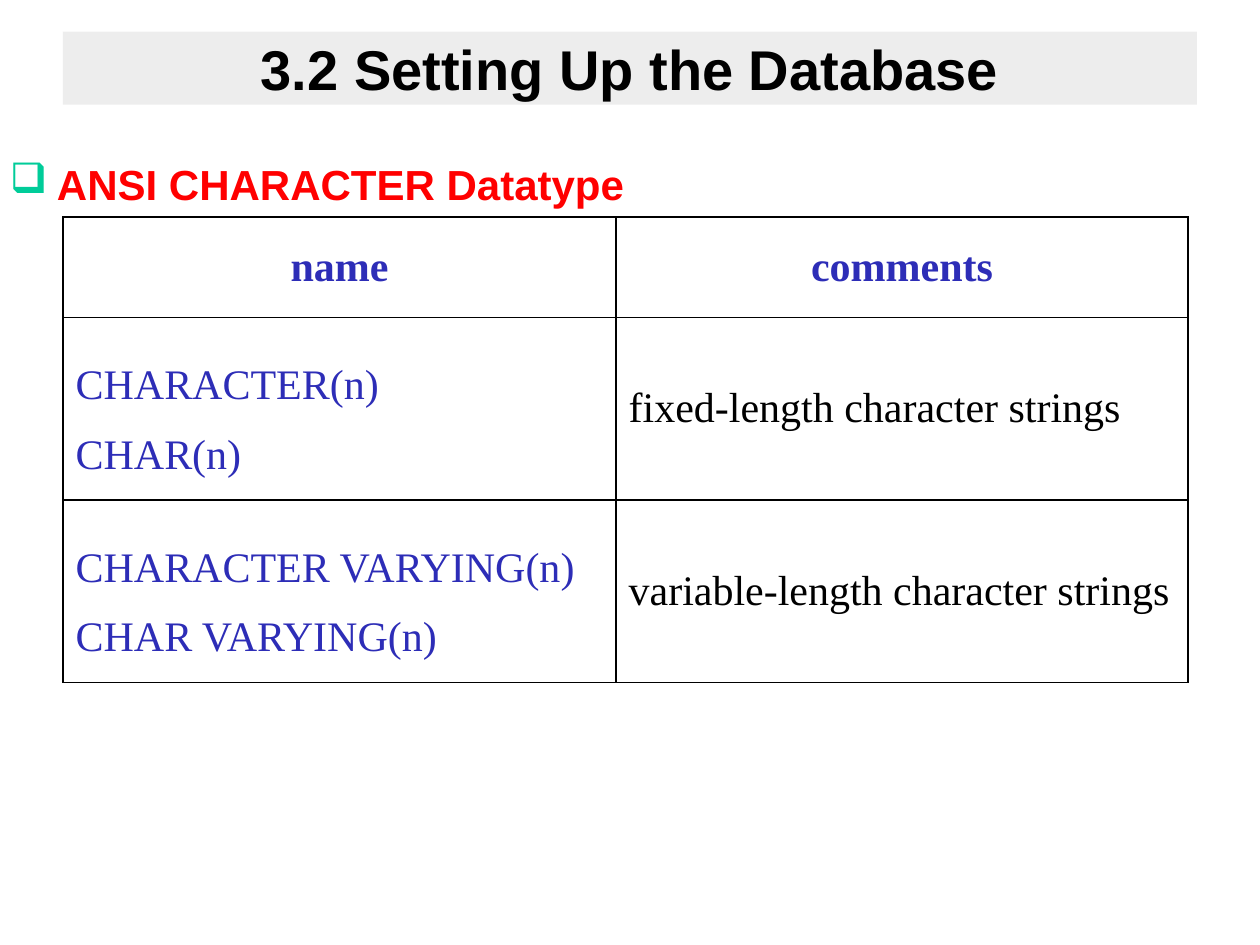
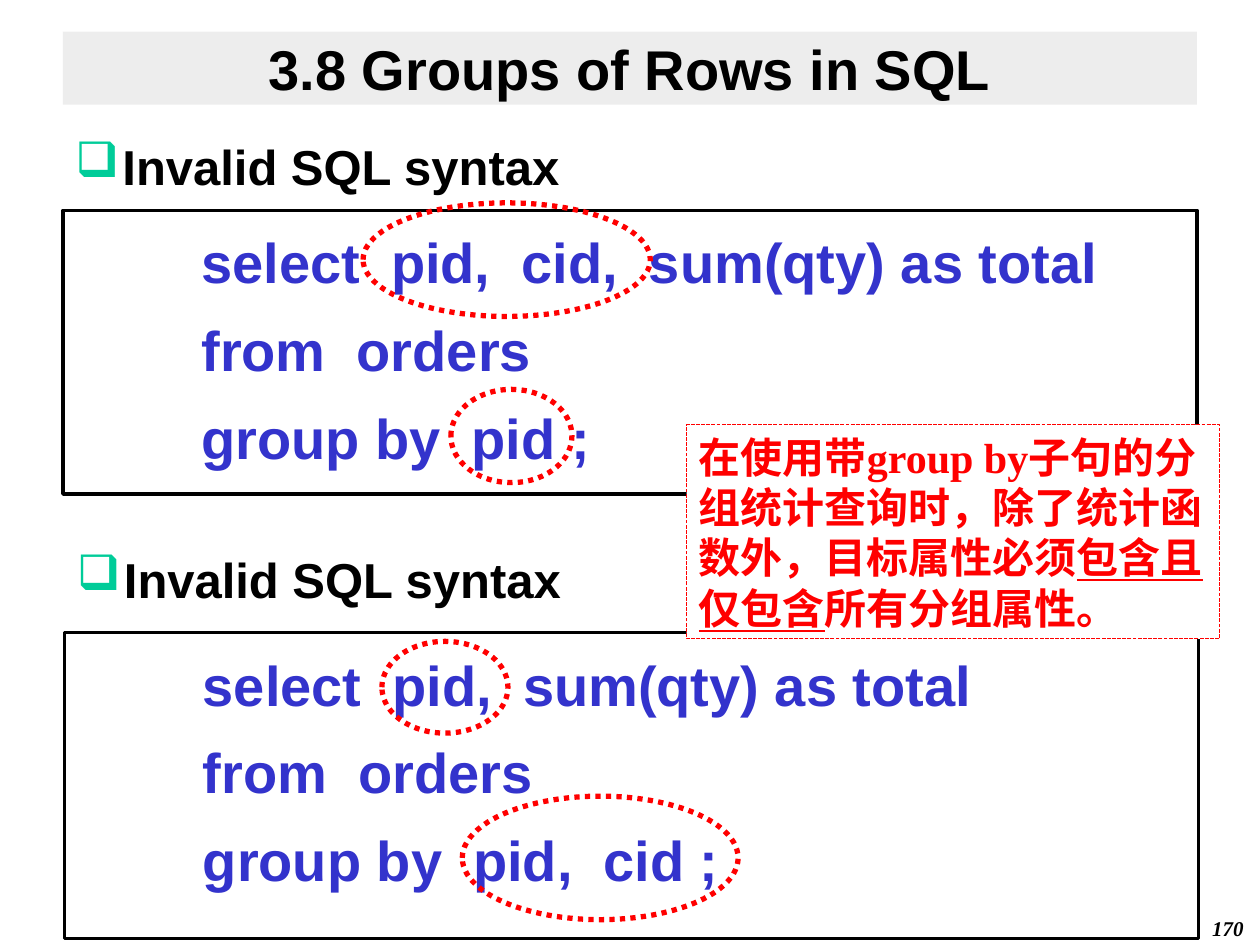
from dataclasses import dataclass

from lxml import etree
from pptx import Presentation
from pptx.dml.color import RGBColor
from pptx.enum.dml import MSO_LINE
from pptx.enum.shapes import MSO_SHAPE
from pptx.enum.text import MSO_ANCHOR, PP_ALIGN
from pptx.oxml.ns import qn
from pptx.util import Cm, Pt

RECTANGLE, OVAL = MSO_SHAPE.RECTANGLE, MSO_SHAPE.OVAL
DOTTED, DASHED = MSO_LINE.ROUND_DOT, MSO_LINE.SQUARE_DOT
TOP, MIDDLE = MSO_ANCHOR.TOP, MSO_ANCHOR.MIDDLE
LEFT, CENTER, RIGHT = PP_ALIGN.LEFT, PP_ALIGN.CENTER, PP_ALIGN.RIGHT


@dataclass(frozen=True)
class Theme:
    sans: str = "Arial"
    serif: str = "Times New Roman"
    ink: str = "000000"
    paper: str = "FFFFFF"
    band: str = "DDDDDD"
    bullet: str = "00CC99"
    alert: str = "FF0000"
    code: str = "3333CC"
    datatype: str = "2D2DB7"
    title_size: int = 32
    heading_size: int = 28
    body_size: int = 24
    number_size: int = 12


THEME = Theme()
TITLE = dict(name=THEME.sans, size=THEME.title_size, bold=True, color=THEME.ink)
HEADING = dict(TITLE, size=THEME.heading_size)
TOPIC = dict(HEADING, size=THEME.body_size, color=THEME.alert)
CODE = dict(TITLE, color=THEME.code)
CELL = dict(name=THEME.serif, size=THEME.body_size, bold=False, color=THEME.ink)
DATATYPE = dict(CELL, color=THEME.datatype)
HEADER = dict(DATATYPE, bold=True)
NOTE = dict(CELL, bold=True, color=THEME.alert)
NUMBER = dict(CELL, size=THEME.number_size, bold=True, italic=True)


def add_span(para, text, style):
    span = para.add_run()
    span.text = text
    for key, value in style.items():
        if key == "color":
            span.font.color.rgb = RGBColor.from_string(value)
        else:
            setattr(span.font, key, Pt(value) if key == "size" else value)


def write(frame, lines, style, **layout):
    for index, line in enumerate(lines):
        para = frame.paragraphs[0] if index == 0 else frame.add_paragraph()
        for key, value in layout.items():
            if key != "space_before" or index:
                setattr(para, key, value)
        add_span(para, line, style)


def set_indent(para, margin, first_line):
    properties = para._p.get_or_add_pPr()
    properties.set("marL", str(Cm(margin)))
    properties.set("indent", str(Cm(first_line)))
    return properties


def add_box(page, place, kind=RECTANGLE, fill=None, line=None, width=1, dash=None,
            anchor=TOP, inset_top=0.13):
    box = page.shapes.add_shape(kind, *map(Cm, place))
    box.shadow.inherit = False
    if fill:
        box.fill.solid()
        box.fill.fore_color.rgb = RGBColor.from_string(fill)
    else:
        box.fill.background()
    if line:
        box.line.color.rgb = RGBColor.from_string(line)
        box.line.width = Pt(width)
        if dash:
            box.line.dash_style = dash
    else:
        box.line.fill.background()
    frame = box.text_frame
    frame.word_wrap = True
    frame.vertical_anchor = anchor
    frame.margin_top = Cm(inset_top)
    return box


def add_title(page, text):
    band = add_box(page, (1.27, 0.64, 22.86, 1.47), fill=THEME.band, anchor=MIDDLE)
    color = band.fill._xPr.find(qn("a:solidFill"))[0]
    etree.SubElement(color, qn("a:alpha"), val="50000")
    write(band.text_frame, [text], TITLE, alignment=CENTER)


def add_heading(page, place, text, style, spacing=1.0):
    box = page.shapes.add_textbox(*map(Cm, place))
    frame = box.text_frame
    frame.word_wrap = True
    frame.margin_top = Cm(0.25)
    properties = set_indent(frame.paragraphs[0], 0.95, -0.95)
    color = etree.SubElement(properties, qn("a:buClr"))
    etree.SubElement(color, qn("a:srgbClr"), val=THEME.bullet)
    etree.SubElement(properties, qn("a:buChar"), char="❑")
    write(frame, [text], style, alignment=LEFT, line_spacing=spacing)


def add_code(page, place, lines, fill=None):
    box = add_box(page, place, fill=fill, line=THEME.ink, width=2, inset_top=0.22)
    write(box.text_frame, lines, CODE, alignment=LEFT, line_spacing=1.1,
          space_before=Pt(8))
    for para in box.text_frame.paragraphs:
        set_indent(para, 3.18, -0.64)


def add_rings(page, places):
    for place in places:
        add_box(page, place, kind=OVAL, line=THEME.alert, width=3, dash=DOTTED)


def add_note(page, place, spans):
    box = add_box(page, place, fill=THEME.paper, line=THEME.alert, width=0.75, dash=DASHED)
    para = box.text_frame.paragraphs[0]
    para.alignment = LEFT
    for text, underline in spans:
        add_span(para, text, dict(NOTE, underline=underline))


def add_number(page, text):
    box = page.shapes.add_textbox(*map(Cm, (23.06, 18.34, 2.26, 0.71)))
    write(box.text_frame, [text], NUMBER, alignment=RIGHT)


def frame_cell(cell):
    properties = cell._tc.get_or_add_tcPr()
    for side in ("lnL", "lnR", "lnT", "lnB"):
        edge = etree.SubElement(properties, qn(f"a:{side}"), w=str(Pt(1)))
        paint = etree.SubElement(edge, qn("a:solidFill"))
        etree.SubElement(paint, qn("a:srgbClr"), val=THEME.ink)
    cell.fill.background()
    cell.vertical_anchor = MIDDLE


def add_datatype_table(page, place, widths, heights, rows):
    size = sum(widths), sum(heights)
    table = page.shapes.add_table(len(rows), len(widths), *map(Cm, (*place, *size))).table
    table.first_row = table.horz_banding = False
    for column, width in zip(table.columns, widths):
        column.width = Cm(width)
    for row, height in zip(table.rows, heights):
        row.height = Cm(height)
    for row_index, row in enumerate(rows):
        for column_index, lines in enumerate(row):
            cell = table.cell(row_index, column_index)
            frame_cell(cell)
            if row_index == 0:
                write(cell.text_frame, lines, HEADER, alignment=CENTER)
            elif column_index == 0:
                write(cell.text_frame, lines, DATATYPE, line_spacing=1.5)
            else:
                write(cell.text_frame, lines, CELL)


def build_datatypes(page):
    add_title(page, "3.2 Setting Up the Database")
    add_heading(page, (-0.05, 2.74, 25.5, 1.47), "ANSI CHARACTER Datatype", TOPIC, 1.2)
    add_datatype_table(page, (1.27, 4.37), (11.15, 11.53), (2.03, 3.68, 3.68), [
        (["name"], ["comments"]),
        (["CHARACTER(n)", "CHAR(n)"], ["fixed-length character strings"]),
        (["CHARACTER VARYING(n)", "CHAR VARYING(n)"], ["variable-length character strings"]),
    ])


def build_groups(page):
    add_title(page, "3.8 Groups of Rows in SQL")
    add_heading(page, (1.27, 2.51, 22.86, 2.11), "Invalid SQL syntax", HEADING)
    add_code(page, (1.27, 4.24, 22.86, 5.72), [
        "select  pid,  cid,  sum(qty) as total", "from  orders", "group by  pid ;"])
    add_rings(page, [(7.32, 4.09, 5.79, 2.29), (9.09, 7.85, 2.44, 1.88)])
    add_heading(page, (1.3, 10.82, 22.86, 2.29), "Invalid SQL syntax", HEADING)
    add_code(page, (1.3, 12.75, 22.86, 6.17), [
        "select  pid,  sum(qty) as total", "from  orders", "group by  pid,  cid ;"],
        fill=THEME.paper)
    add_rings(page, [(9.32, 16.05, 5.56, 2.49), (7.7, 12.93, 2.54, 1.85)])
    add_note(page, (13.84, 8.56, 10.74, 4.32), [
        ("在使用带group by子句的分组统计查询时，除了统计函数外，目标属性必须", False),
        ("包含且仅包含", True),
        ("所有分组属性。", False),
    ])
    add_number(page, "170")


def main():
    deck = Presentation()
    deck.slide_width, deck.slide_height = Cm(25.4), Cm(19.05)
    for build in (build_datatypes, build_groups):
        build(deck.slides.add_slide(deck.slide_layouts[6]))
    deck.save("out.pptx")


if __name__ == "__main__":
    main()
